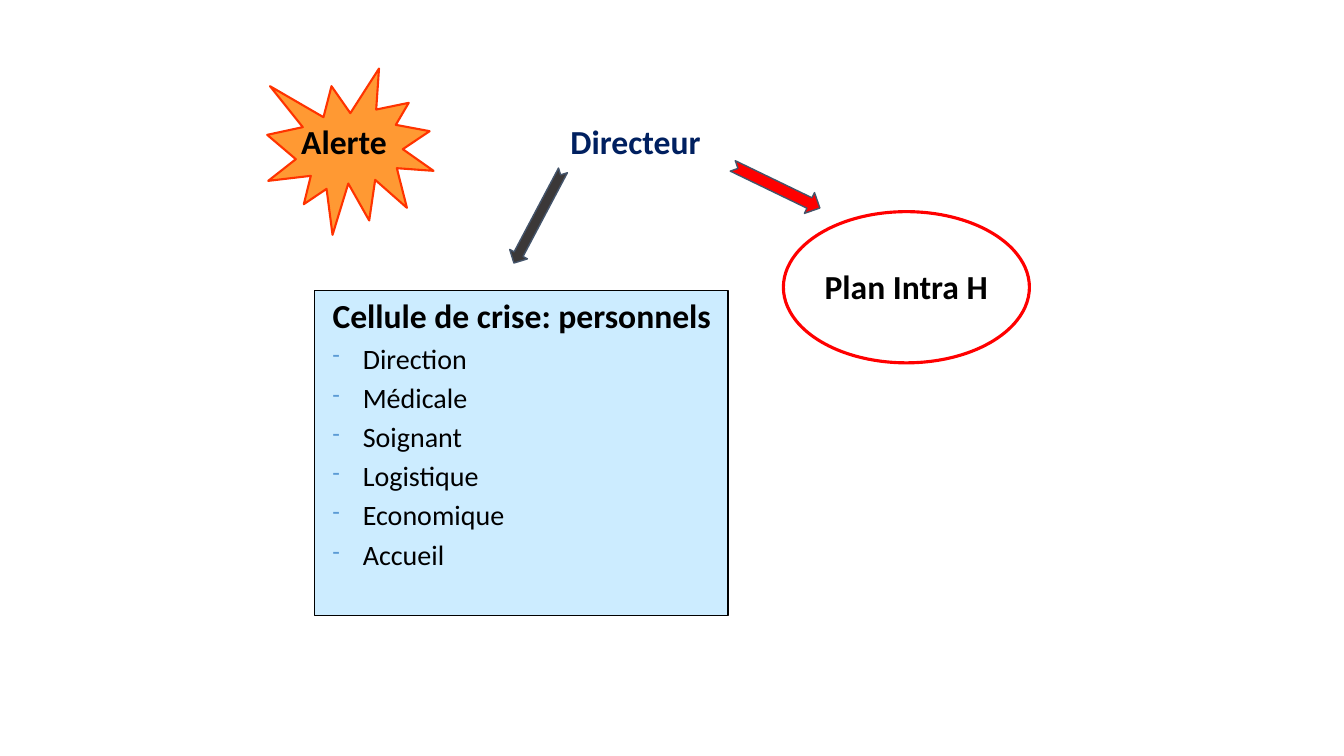
from lxml import etree
from pptx import Presentation
from pptx.dml.color import RGBColor
from pptx.enum import shapes, text
from pptx.oxml import ns
from pptx.util import Inches, Pt

BLACK = RGBColor(0, 0, 0)
WHITE = RGBColor(255, 255, 255)
NAVY = RGBColor(0, 0x20, 0x60)
RED = RGBColor(255, 0, 0)
ORANGE = RGBColor(0xFF, 0x99, 0x33)
FLAME = RGBColor(0xFF, 0x33, 0)
PALE_BLUE = RGBColor(0xCC, 0xEC, 0xFF)
BULLET_BLUE = RGBColor(0x5B, 0x9B, 0xD5)
CHARCOAL = RGBColor(0x3B, 0x38, 0x38)
SLATE = RGBColor(0x44, 0x54, 0x6A)

SERVICES = ["Direction", "Médicale", "Soignant", "Logistique", "Economique", "Accueil"]


def add_figure(page, kind, bounds, fill, line, width, rotation=0):
    figure = page.shapes.add_shape(kind, *map(Inches, bounds))
    figure.shadow.inherit = False
    figure.fill.solid()
    figure.fill.fore_color.rgb = fill
    figure.line.color.rgb = line
    figure.line.width = Pt(width)
    figure.rotation = rotation
    return figure


def format_para(para, size, color=BLACK, bold=False):
    para.alignment = text.PP_ALIGN.LEFT
    for span in para.runs:
        span.font.name = "Calibri"
        span.font.size = Pt(size)
        span.font.bold = bold
        span.font.color.rgb = color


def indent_para(para):
    properties = para._p.get_or_add_pPr()
    properties.set("marL", str(Inches(0.38)))
    properties.set("indent", str(Inches(-0.3)))
    return properties


def add_bullet(para):
    properties = indent_para(para)
    color = etree.SubElement(properties, ns.qn("a:buClr"))
    etree.SubElement(color, ns.qn("a:srgbClr"), val=str(BULLET_BLUE))
    etree.SubElement(properties, ns.qn("a:buSzPct"), val="76000")
    etree.SubElement(properties, ns.qn("a:buChar"), char="-")


def add_label(page, wording, bounds, color=BLACK, anchor=text.MSO_ANCHOR.BOTTOM):
    box = page.shapes.add_textbox(*map(Inches, bounds))
    frame = box.text_frame
    frame.word_wrap = True
    frame.vertical_anchor = anchor
    frame.text = wording
    format_para(frame.paragraphs[0], 24, color, bold=True)
    return box


def add_crisis_cell(page):
    box = add_figure(page, shapes.MSO_SHAPE.RECTANGLE, (3.12, 2.88, 4.1, 3.23),
                     PALE_BLUE, BLACK, 1)
    frame = box.text_frame
    frame.word_wrap = True
    frame.vertical_anchor = text.MSO_ANCHOR.TOP
    frame.text = "\n".join(["Cellule de crise: personnels"] + SERVICES)
    heading, *items = frame.paragraphs
    format_para(heading, 24, bold=True)
    indent_para(heading)
    for para in items:
        format_para(para, 20)
        para.space_before = Pt(4)
        add_bullet(para)


def main():
    deck = Presentation()
    deck.slide_width = Inches(13.33)
    deck.slide_height = Inches(7.5)
    page = deck.slides.add_slide(deck.slide_layouts[6])
    kinds = shapes.MSO_SHAPE

    add_label(page, "Directeur", (5.56, 1.07, 1.57, 0.58), NAVY)
    add_crisis_cell(page)
    add_figure(page, kinds.EXPLOSION1, (2.65, 0.68, 1.65, 1.65), ORANGE, FLAME, 1.5)
    alert = add_label(page, "Alerte", (2.81, 1.15, 1.26, 0.47), anchor=text.MSO_ANCHOR.TOP)
    indent_para(alert.text_frame.paragraphs[0])
    add_figure(page, kinds.NOTCHED_RIGHT_ARROW, (4.82, 2.05, 1.04, 0.2),
               CHARCOAL, SLATE, 1, 117.9)
    add_figure(page, kinds.OVAL, (7.77, 2.1, 2.44, 1.5), WHITE, RED, 2.25)
    add_label(page, "Plan Intra H", (8.08, 2.57, 1.92, 0.52))
    add_figure(page, kinds.NOTCHED_RIGHT_ARROW, (7.22, 1.74, 0.96, 0.23),
               RED, SLATE, 1, 25.8)
    deck.save("out.pptx")


if __name__ == "__main__":
    main()
